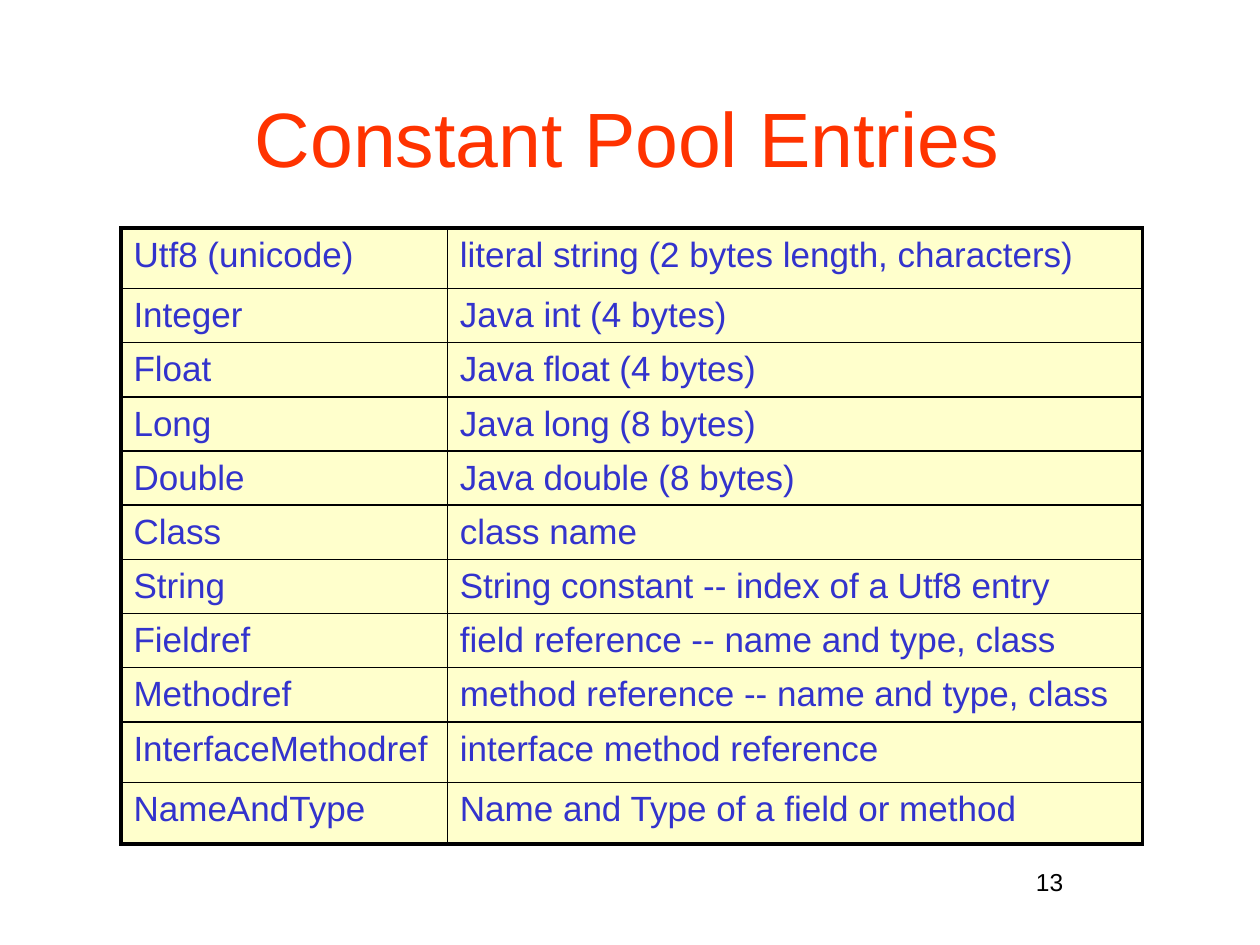
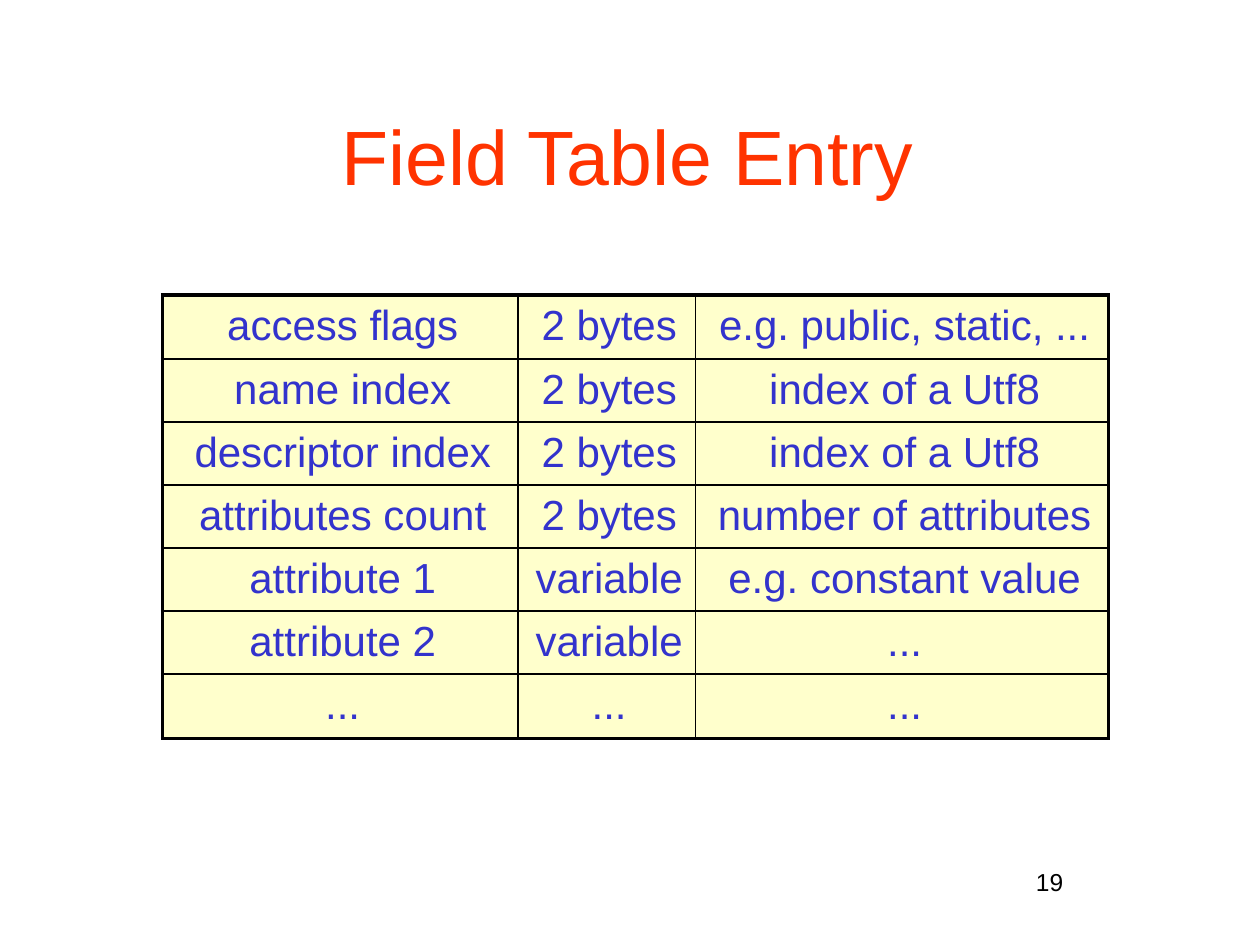
from lxml.etree import SubElement
from pptx import Presentation
from pptx.dml.color import RGBColor
from pptx.enum.text import MSO_ANCHOR, MSO_AUTO_SIZE, PP_ALIGN
from pptx.oxml.ns import qn
from pptx.util import Inches, Pt

# Shared style
FONT = "Arial"
RED = RGBColor(0xFF, 0x33, 0x00)
BLUE = RGBColor(0x33, 0x33, 0xCC)
CREAM = RGBColor(0xFF, 0xFF, 0xCC)
BLACK = RGBColor(0, 0, 0)
THIN, THICK = Pt(1), Pt(2.25)
INDENT = Inches(0.04)
TITLE_LEFT, TITLE_WIDTH, TITLE_BOTTOM = 0.75, 8.5, 2.17

# Content
SLIDES = [
    dict(
        title="Constant Pool Entries", title_top=0, number="13",
        origin=(0.96, 1.81), cols=[2.59, 5.52],
        heights=[0.48] + [0.43] * 8 + [0.48, 0.49],
        size=20, align=PP_ALIGN.LEFT,
        rows=[
            ("Utf8 (unicode)", "literal string (2 bytes length, characters)"),
            ("Integer", "Java int (4 bytes)"),
            ("Float", "Java float (4 bytes)"),
            ("Long", "Java long (8 bytes)"),
            ("Double", "Java double (8 bytes)"),
            ("Class", "class name"),
            ("String", "String constant -- index of a Utf8 entry"),
            ("Fieldref", "field reference -- name and type, class"),
            ("Methodref", "method reference -- name and type, class"),
            ("InterfaceMethodref", "interface method reference"),
            ("NameAndType", "Name and Type of a field or method"),
        ],
    ),
    dict(
        title="Field Table Entry", title_top=0.29, number="19",
        origin=(1.29, 2.34), cols=[2.82, 1.41, 3.28],
        heights=[0.51] + [0.5] * 5 + [0.51],
        size=24, align=PP_ALIGN.CENTER,
        rows=[
            ("access flags", "2 bytes", "e.g. public, static, ..."),
            ("name index", "2 bytes", "index of a Utf8"),
            ("descriptor index", "2 bytes", "index of a Utf8"),
            ("attributes count", "2 bytes", "number of attributes"),
            ("attribute 1", "variable", "e.g. constant value"),
            ("attribute 2", "variable", "..."),
            ("...", "...", "..."),
        ],
    ),
]


def style_paragraph(p, size, color, align, indent=INDENT):
    p.alignment = align
    p.font.name, p.font.size, p.font.color.rgb = FONT, Pt(size), color
    pPr = p._p.get_or_add_pPr()
    pPr.set("marL", str(indent))
    pPr.set("indent", "0")


def add_title(s, text, top):
    sp = s.shapes.title
    sp.left, sp.top = Inches(TITLE_LEFT), Inches(top)
    sp.width, sp.height = Inches(TITLE_WIDTH), Inches(TITLE_BOTTOM - top)
    tf = sp.text_frame
    tf.text = text
    tf.auto_size = MSO_AUTO_SIZE.NONE
    tf.vertical_anchor = MSO_ANCHOR.MIDDLE
    tf.margin_left = tf.margin_top = tf.margin_bottom = Inches(0.06)
    tf.margin_right = Inches(0.14)
    style_paragraph(tf.paragraphs[0], 44, RED, PP_ALIGN.CENTER)


def add_number(s, text):
    sp = s.shapes.add_textbox(Inches(8.16), Inches(6.83), Inches(0.34), Inches(0.33))
    tf = sp.text_frame
    tf.word_wrap = False
    tf.margin_left = tf.margin_right = 0
    tf.text = text
    style_paragraph(tf.paragraphs[0], 14, BLACK, PP_ALIGN.CENTER, indent=0)


def set_borders(cell, outer):
    """Draw thick lines on the outer sides and thin ones elsewhere."""
    tcPr = cell._tc.get_or_add_tcPr()
    for side in "LRTB":
        ln = SubElement(tcPr, qn(f"a:ln{side}"), w=str(THICK if outer[side] else THIN))
        fill = SubElement(ln, qn("a:solidFill"))
        SubElement(fill, qn("a:srgbClr"), val=str(BLACK))


def add_grid(s, origin, cols, heights, rows, size, align):
    left, top = origin
    table = s.shapes.add_table(
        len(rows), len(cols), Inches(left), Inches(top),
        Inches(sum(cols)), Inches(sum(heights))).table
    table.first_row = table.horz_banding = False
    for column, width in zip(table.columns, cols):
        column.width = Inches(width)
    for row, height in zip(table.rows, heights):
        row.height = Inches(height)
    for i, texts in enumerate(rows):
        for j, text in enumerate(texts):
            cell = table.cell(i, j)
            set_borders(cell, dict(L=j == 0, R=j == len(cols) - 1,
                                   T=i == 0, B=i == len(rows) - 1))
            cell.fill.solid()
            cell.fill.fore_color.rgb = CREAM
            cell.margin_left = cell.margin_right = cell.margin_top = Inches(0.06)
            cell.margin_bottom = Inches(0.03)  # lets the text fit the row height
            cell.text = text
            style_paragraph(cell.text_frame.paragraphs[0], size, BLUE, align)


prs = Presentation()
prs.slide_width, prs.slide_height = Inches(10), Inches(7.5)
for page in SLIDES:
    s = prs.slides.add_slide(prs.slide_layouts[5])
    add_number(s, page["number"])
    add_title(s, page["title"], page["title_top"])
    add_grid(s, page["origin"], page["cols"], page["heights"],
             page["rows"], page["size"], page["align"])
prs.save("out.pptx")
